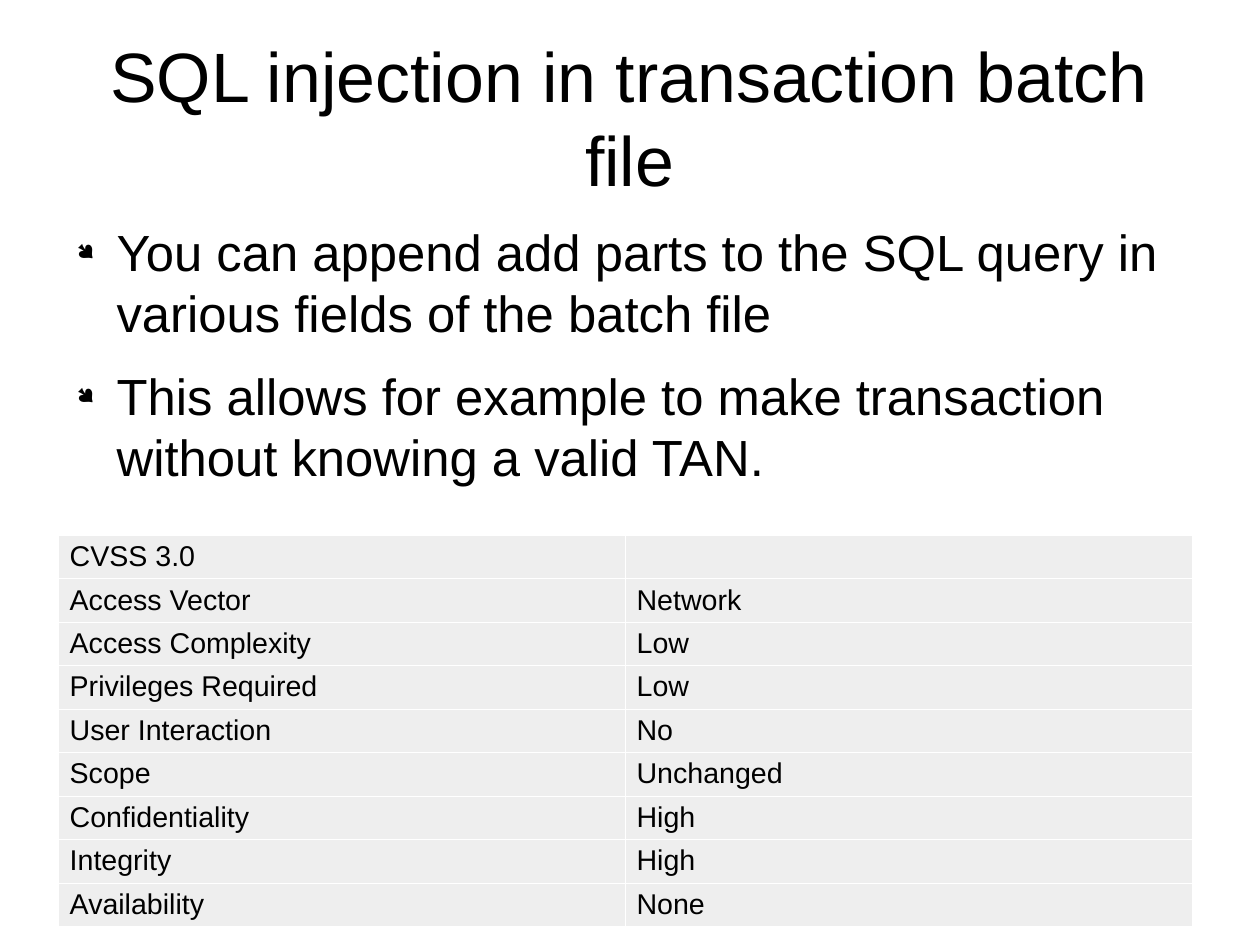
from lxml.etree import SubElement
from pptx import Presentation
from pptx.dml.color import RGBColor
from pptx.enum.text import MSO_ANCHOR, PP_ALIGN
from pptx.oxml.ns import qn
from pptx.util import Inches, Pt

COLORS = {"text": "000000", "cell": "EEEEEE", "border": "FFFFFF"}
FONT = "Arial"
CM_PER_INCH = 2.54
HEADING = "SQL injection in transaction batch file"
FINDINGS = [
    "You can append add parts to the SQL query in various fields of the batch file",
    "This allows for example to make transaction without knowing a valid TAN.",
]
SCORES = [
    ("CVSS 3.0", ""),
    ("Access Vector", "Network"),
    ("Access Complexity", "Low"),
    ("Privileges Required", "Low"),
    ("User Interaction", "No"),
    ("Scope", "Unchanged"),
    ("Confidentiality", "High"),
    ("Integrity", "High"),
    ("Availability", "None"),
]


def add_bullet(paragraph):
    props = paragraph._p.get_or_add_pPr()
    props.set("marL", str(Inches(0.47)))
    props.set("indent", str(Inches(-0.35)))
    color = SubElement(props, qn("a:buClr"))
    SubElement(color, qn("a:srgbClr"), val=COLORS["text"])
    SubElement(props, qn("a:buSzPct"), val="45000")
    SubElement(props, qn("a:buFont"), typeface="Wingdings", charset="2")
    SubElement(props, qn("a:buChar"), char="●")


def write(frame, lines, size, align=PP_ALIGN.LEFT, anchor=MSO_ANCHOR.TOP,
          bullet=False, gap=0):
    frame.word_wrap = True
    frame.vertical_anchor = anchor
    for index, line in enumerate(lines):
        paragraph = frame.add_paragraph() if index else frame.paragraphs[0]
        if bullet:
            add_bullet(paragraph)
        paragraph.alignment = align
        paragraph.space_before = Pt(gap if index else 0)
        paragraph.font.size = Pt(size)
        run = paragraph.add_run()
        run.text = line
        run.font.name = FONT
        run.font.size = Pt(size)
        run.font.color.rgb = RGBColor.from_string(COLORS["text"])


def add_text(slide, box, lines, size, **style):
    frame = slide.shapes.add_textbox(*map(Inches, box)).text_frame
    frame.margin_left = frame.margin_right = 0
    frame.margin_top = frame.margin_bottom = 0
    write(frame, lines, size, **style)


def add_heading(slide, box):
    add_text(slide, box, [HEADING], 44, align=PP_ALIGN.CENTER,
             anchor=MSO_ANCHOR.MIDDLE)


def add_findings(slide, box):
    add_text(slide, box, FINDINGS, 32, bullet=True, gap=14.2)


def style_cell(cell):
    props = cell._tc.get_or_add_tcPr()
    for side in ("a:lnL", "a:lnR", "a:lnT", "a:lnB"):
        line = SubElement(props, qn(side), w=str(Pt(0.06)))
        fill = SubElement(line, qn("a:solidFill"))
        SubElement(fill, qn("a:srgbClr"), val=COLORS["border"])
    cell.fill.solid()
    cell.fill.fore_color.rgb = RGBColor.from_string(COLORS["cell"])
    cell.margin_top = Inches(0.05)
    cell.margin_bottom = Inches(0.03)


def add_scores(slide, box):
    left, top, width, height = map(Inches, box)
    scores = slide.shapes.add_table(len(SCORES), 2, left, top, width, height).table
    scores.first_row = scores.horz_banding = False
    for row, values in enumerate(SCORES):
        for column, value in enumerate(values):
            cell = scores.cell(row, column)
            style_cell(cell)
            if value:
                write(cell.text_frame, [value], 18)
            else:
                cell.text_frame.paragraphs[0].font.size = Pt(18)


def main():
    deck = Presentation()
    deck.slide_width = Inches(28 / CM_PER_INCH)
    deck.slide_height = Inches(21 / CM_PER_INCH)
    slide = deck.slides.add_slide(deck.slide_layouts[6])
    add_heading(slide, (0.55, 0.33, 9.92, 1.38))
    add_findings(slide, (0.55, 1.93, 9.92, 2.6))
    add_scores(slide, (0.51, 4.68, 9.92, 3.42))
    deck.save("out.pptx")


if __name__ == "__main__":
    main()
